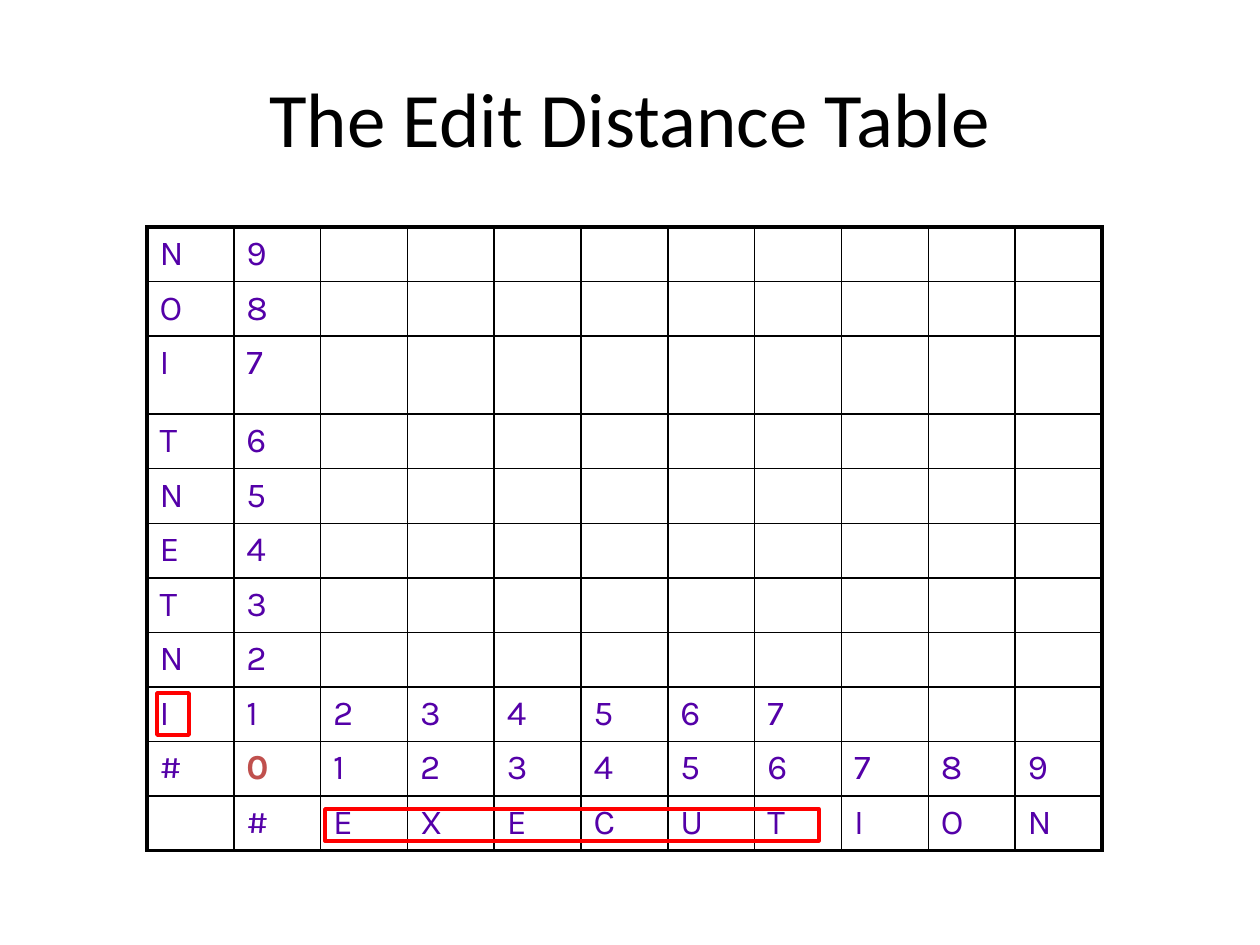
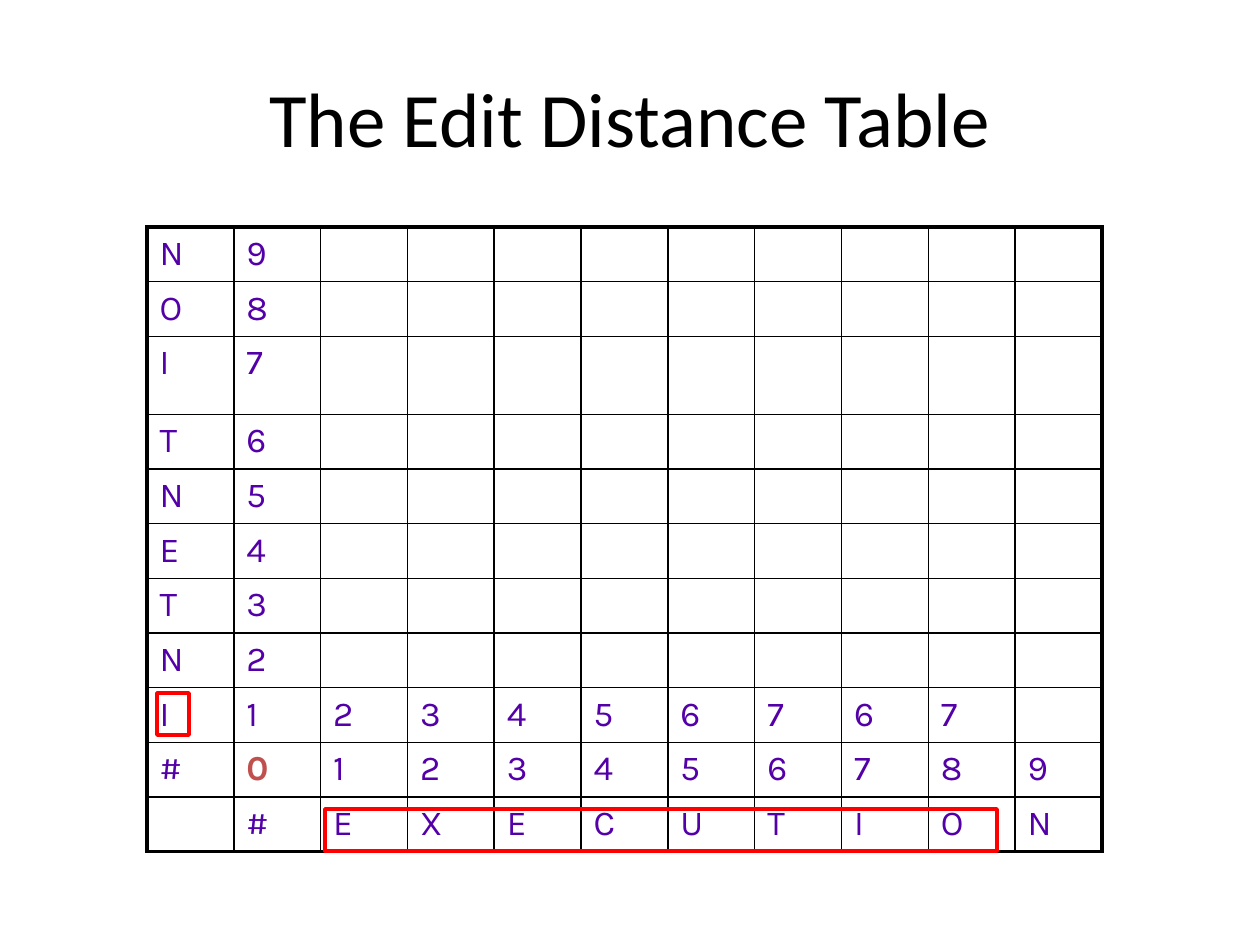
from lxml.etree import SubElement
from pptx import Presentation
from pptx.dml.color import RGBColor
from pptx.enum.shapes import MSO_SHAPE
from pptx.enum.text import MSO_ANCHOR, PP_ALIGN
from pptx.oxml.ns import qn
from pptx.util import Pt

BLACK = RGBColor(0x00, 0x00, 0x00)
PURPLE = RGBColor(0x54, 0x00, 0xA8)
BRICK = RGBColor(0xC0, 0x50, 0x4D)
RED = RGBColor(0xFF, 0x00, 0x00)

PAGE = (1260, 945)
TITLE_BOX = (63, 38, 1134, 158)
GRID_BOX = (147, 227, 955, 624)
TALL_ROW, TALL_SIZE = 2, 78
THIN, THICK = 1, 2.25
SOURCE, TARGET = "INTENTION", "EXECUTION"


def px(size):
    """Turn pixels into EMU."""
    return round(size * 914400 / 126)


def write(frame, text, font="Karla", size=20, color=PURPLE, bold=False,
          align=PP_ALIGN.LEFT):
    """Put one formatted run of text in a frame."""
    line = frame.paragraphs[0]
    line.alignment = align
    run = line.add_run()
    run.text = text
    run.font.name = font
    run.font.size = Pt(size)
    run.font.bold = bold
    run.font.color.rgb = color


def add_title(slide, box, text):
    """Add the centred slide title."""
    shape = slide.shapes.add_textbox(*map(px, box))
    frame = shape.text_frame
    frame.word_wrap = True
    frame.vertical_anchor = MSO_ANCHOR.MIDDLE
    write(frame, text, font="Calibri", size=44, color=BLACK,
          align=PP_ALIGN.CENTER)


def add_edge(cell, side, width):
    """Draw one border of a cell."""
    props = cell._tc.get_or_add_tcPr()
    edge = SubElement(props, qn(f"a:ln{side}"), w=str(Pt(width)))
    fill = SubElement(edge, qn("a:solidFill"))
    SubElement(fill, qn("a:srgbClr"), val=str(BLACK))


def make_rows(costs):
    """List the table rows, with costs filled in beside the first letter."""
    rows = [[letter, str(rank)] for rank, letter in enumerate(SOURCE, 1)]
    rows[0] += costs
    base = ["#", *map(str, range(len(TARGET) + 1))]
    return rows[::-1] + [base, ["", "#", *TARGET]]


def add_grid(slide, box, rows):
    """Add the distance table with a thick outer frame."""
    high, wide = len(rows), len(rows[-1])
    table = slide.shapes.add_table(high, wide, *map(px, box)).table
    table.first_row = table.horz_banding = False
    for col in table.columns:
        col.width = px(box[2] / wide)
    for r, row in enumerate(table.rows):
        short = (box[3] - TALL_SIZE) / (high - 1)
        row.height = px(TALL_SIZE if r == TALL_ROW else short)
        for c, cell in enumerate(row.cells):
            outer = {"L": c == 0, "R": c == wide - 1,
                     "T": r == 0, "B": r == high - 1}
            for side, thick in outer.items():
                add_edge(cell, side, THICK if thick else THIN)
            cell.fill.background()
            text = rows[r][c] if c < len(rows[r]) else ""
            if text:
                start = text == "0"
                write(cell.text_frame, text, bold=start,
                      color=BRICK if start else PURPLE)


def add_mark(slide, box, x, y, wide, high):
    """Outline letters in red, placed from the corner of a box."""
    place = map(px, (box[0] + x, box[1] + y, wide, high))
    mark = slide.shapes.add_shape(MSO_SHAPE.RECTANGLE, *place)
    mark.shadow.inherit = False
    mark.fill.background()
    mark.line.color.rgb = RED
    mark.line.width = Pt(2)


def add_step(deck, costs, wide, high):
    """Add one slide showing a step of the table."""
    slide = deck.slides.add_slide(deck.slide_layouts[6])
    add_grid(slide, GRID_BOX, make_rows(costs))
    add_title(slide, TITLE_BOX, "The Edit Distance Table")
    add_mark(slide, GRID_BOX, 178, 582, wide, high)
    add_mark(slide, GRID_BOX, 10, 466, 32, 42)


def main():
    """Build and save the deck."""
    deck = Presentation()
    deck.slide_width, deck.slide_height = map(px, PAGE)
    add_step(deck, "234567", 494, 32)
    add_step(deck, "23456767", 672, 42)
    deck.save("out.pptx")


if __name__ == "__main__":
    main()
